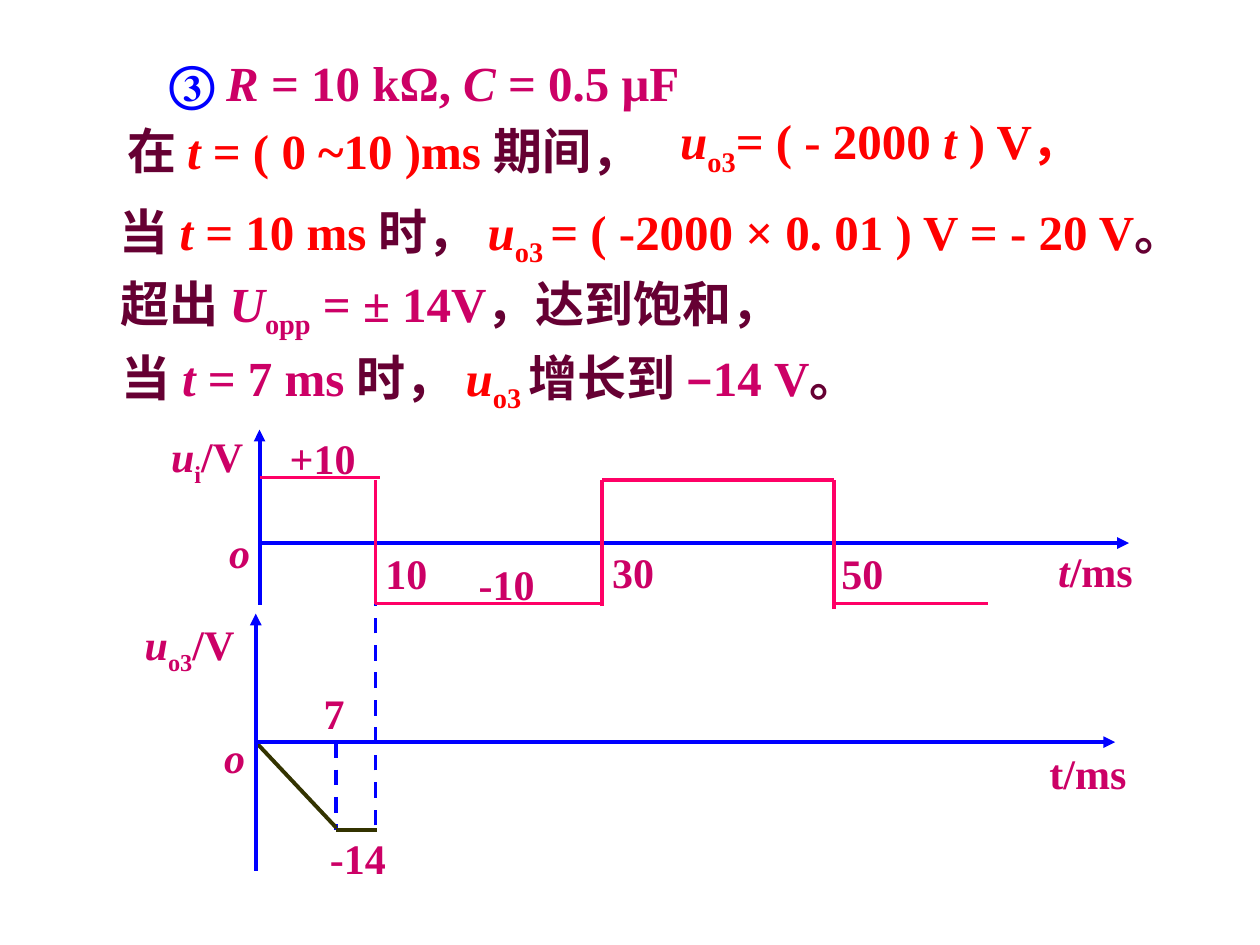
from lxml import etree
from pptx import Presentation
from pptx.dml.color import RGBColor
from pptx.enum.dml import MSO_LINE
from pptx.enum.shapes import MSO_CONNECTOR
from pptx.enum.text import MSO_AUTO_SIZE
from pptx.oxml.ns import qn
from pptx.util import Inches, Pt

STRAIGHT = MSO_CONNECTOR.STRAIGHT
DASH = MSO_LINE.DASH
GROW = MSO_AUTO_SIZE.SHAPE_TO_FIT_TEXT

FONT = "Times New Roman"
BLUE, RED, PINK = "0000FF", "FF0000", "CC0066"
PLUM, WAVE, OLIVE = "660033", "FF0066", "333300"
BLANK_LAYOUT = 6


def rgb(value):
    return RGBColor.from_string(value)


def add_run(paragraph, text, color=PINK, size=24, bold=True, italic=False, sub=False):
    run = paragraph.add_run()
    run.text = text
    font = run.font
    font.name, font.size = FONT, Pt(size)
    font.bold, font.italic = bold, italic
    font.color.rgb = rgb(color)
    if sub:
        run._r.get_or_add_rPr().set("baseline", "-25000")


def add_text(shapes, left, top, width, height, runs, wrap=False, **formats):
    """Each run is a text, or a text with its own formats."""
    box = shapes.add_textbox(Inches(left), Inches(top), Inches(width), Inches(height))
    frame = box.text_frame
    frame.word_wrap = wrap
    frame.auto_size = GROW
    for run in runs:
        text, own = (run, {}) if isinstance(run, str) else run
        add_run(frame.paragraphs[0], text, **{**formats, **own})


def add_line(shapes, start, end, color, dashed=False, arrow=False):
    points = [Inches(value) for value in (*start, *end)]
    connector = shapes.add_connector(STRAIGHT, *points)
    connector.line.color.rgb = rgb(color)
    connector.line.width = Pt(2.25)
    if dashed:
        connector.line.dash_style = DASH
    if arrow:
        tail = etree.SubElement(connector.line._get_or_add_ln(), qn("a:tailEnd"))
        tail.set("type", "triangle")
    etree.SubElement(connector._element.spPr, qn("a:effectLst"))


def italic(text, color=PINK):
    return text, {"italic": True, "color": color}


def subscript(text, color=PINK):
    return text, {"sub": True, "color": color}


def colored(text, color):
    return text, {"color": color}


def add_derivation(shapes):
    lines = [
        (1.25, 0.37, 6.25, 0.57, [
            colored("③", BLUE), (" ", {"size": 24, "bold": False}),
            italic("R"), " = 10 kΩ, ", italic("C "), "= 0.5 μF"]),
        (0.91, 0.91, 5.15, 0.57, [
            colored("在 ", PLUM), italic("t", RED),
            colored(" = ( 0 ~10 )ms ", RED), colored("期间，", PLUM)]),
        (5.3, 0.83, 4.53, 0.63, [
            italic("u", RED), subscript("o3", RED), colored("= ( - 2000 ", RED),
            italic("t ", RED), colored(") V，", RED)]),
        (0.85, 1.55, 10.08, 0.63, [
            colored("当 ", PLUM), italic("t ", RED), colored("= 10 ms ", RED),
            colored("时， ", PLUM), italic("u", RED), subscript("o3 ", RED),
            colored("= ( -2000 × 0. 01 ) V = - 20 V", RED), colored("。", PLUM)]),
        (0.86, 2.12, 6.82, 0.63, [
            colored("超出 ", PLUM), italic("U"), subscript("opp"),
            " = ± 14V", colored("，达到饱和，", PLUM)]),
        (0.87, 2.71, 7.16, 0.63, [
            colored("当 ", PLUM), italic("t "), "= 7 ms ", colored("时， ", PLUM),
            italic("u", RED), subscript("o3 ", RED), colored("增长到 ", PLUM),
            "–14 V", colored("。", PLUM)]),
    ]
    for left, top, width, height, runs in lines:
        add_text(shapes, left, top, width, height, runs, wrap=True, size=28)


def add_axes(shapes, x, y, right, top, bottom):
    add_line(shapes, (x, y), (right, y), BLUE, arrow=True)
    add_line(shapes, (x, bottom), (x, top), BLUE, arrow=True)


def add_labels(shapes, labels):
    for left, top, width, runs in labels:
        height = 0.56 if len(runs) == 3 else 0.5
        add_text(shapes, left, top, width, height, runs)


def add_output_graph(slide):
    # Saturating ramp and its guide
    add_line(slide.shapes, (2.67, 5.89), (2.67, 6.59), BLUE, dashed=True)
    add_line(slide.shapes, (2.03, 5.89), (2.67, 6.57), OLIVE)
    add_line(slide.shapes, (2.67, 6.59), (2.99, 6.59), OLIVE)
    add_labels(slide.shapes, [(2.52, 6.56, 0.7, ["-14"]), (2.47, 5.41, 0.36, ["7"])])

    # Axes with their names
    axes = slide.shapes.add_group_shape().shapes
    add_axes(axes, 2.03, 5.89, right=8.85, top=4.87, bottom=6.91)
    add_labels(axes, [
        (1.68, 5.76, 0.36, [italic("o")]),
        (1.05, 4.86, 0.91, [italic("u"), subscript("o3"), "/V"]),
        (8.23, 5.88, 0.81, ["t/ms"]),
    ])


def add_input_graph(slide):
    shapes = slide.shapes.add_group_shape().shapes
    add_axes(shapes, 2.06, 4.31, right=8.96, top=3.41, bottom=4.8)

    # Square wave
    high, low = 3.81, 4.79
    first, second, third = 2.98, 4.78, 6.62
    for start, end in [
        ((2.06, 3.79), (3.02, 3.79)),
        ((first, high), (first, low)),
        ((first, low), (second, low)),
        ((second, 4.81), (second, high)),
        ((second, high), (third, high)),
        ((third, high), (third, 4.83)),
        ((third, low), (7.84, low)),
    ]:
        add_line(shapes, start, end, WAVE)

    add_labels(shapes, [
        (1.26, 3.37, 0.77, [italic("u"), subscript("i"), "/V"]),
        (2.2, 3.38, 0.72, ["+10"]),
        (1.72, 4.13, 0.36, [italic("o")]),
        (2.96, 4.3, 0.53, ["10"]),
        (3.7, 4.38, 0.7, ["-10"]),
        (4.76, 4.29, 0.53, ["30"]),
        (6.58, 4.3, 0.53, ["50"]),
        (8.3, 4.28, 0.79, [italic("t"), "/ms"]),
    ])


def main():
    presentation = Presentation()
    presentation.slide_width, presentation.slide_height = Inches(10), Inches(7.5)
    slide = presentation.slides.add_slide(presentation.slide_layouts[BLANK_LAYOUT])
    add_derivation(slide.shapes)
    add_output_graph(slide)
    # Guide from the input step down to the output
    add_line(slide.shapes, (2.98, 6.55), (2.98, 4.66), BLUE, dashed=True)
    add_input_graph(slide)
    presentation.save("out.pptx")


if __name__ == "__main__":
    main()
